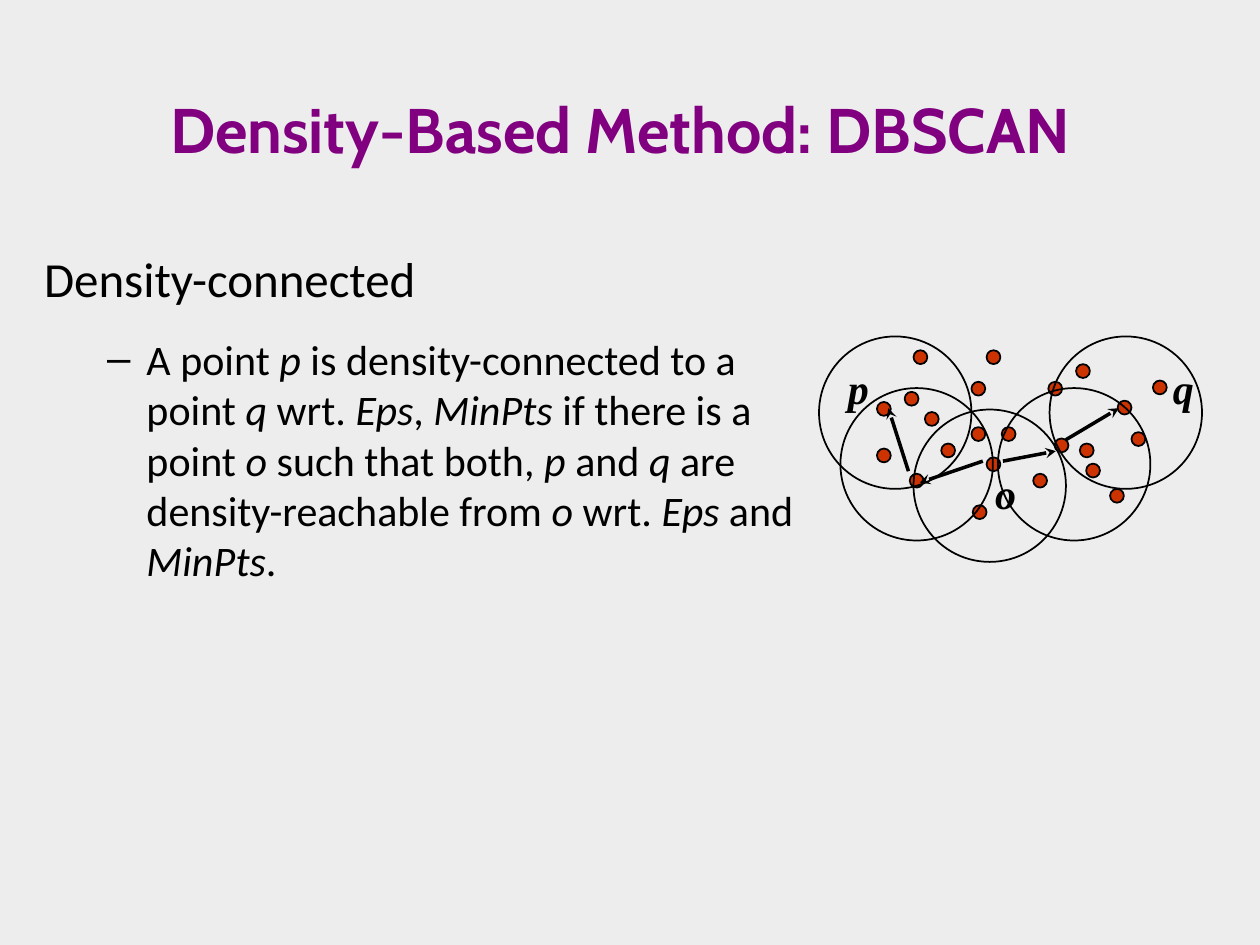
from typing import NamedTuple

from lxml import etree
from pptx import Presentation
from pptx.dml.color import RGBColor
from pptx.enum.shapes import MSO_CONNECTOR, MSO_SHAPE
from pptx.enum.text import MSO_ANCHOR, MSO_AUTO_SIZE, PP_ALIGN
from pptx.oxml.ns import qn
from pptx.util import Inches, Pt

ELLIPSE, STRAIGHT = MSO_SHAPE.OVAL, MSO_CONNECTOR.STRAIGHT
TOP, LEFT = MSO_ANCHOR.TOP, PP_ALIGN.LEFT
NO_FIT, GROW = MSO_AUTO_SIZE.NONE, MSO_AUTO_SIZE.SHAPE_TO_FIT_TEXT

BLACK, PURPLE, RED, BACKGROUND = "000000", "800080", "CC3300", "EDEDED"
POINT_SIZE, NEIGHBOURHOOD_SIZE = 0.11, 1.21


class Spot(NamedTuple):
    left: float
    top: float


class Reach(NamedTuple):
    """A step of density-reachability; the arrowhead is at the target."""
    target: Spot
    source: Spot


class Label(NamedTuple):
    text: str
    spot: Spot


POINTS = [Spot(*spot) for spot in (
    (7.34, 3.27), (7.71, 3.39), (7.71, 3.03), (7.22, 3.76), (7.47, 3.52),
    (7.72, 4.01), (7.83, 3.63), (7.83, 2.78), (8.57, 3.52), (8.32, 3.03),
    (6.96, 3.56), (7.95, 3.39), (8.20, 3.76), (8.81, 3.88), (8.98, 3.43),
    (8.37, 3.48), (8.62, 3.68), (9.15, 3.02), (8.54, 2.89), (8.87, 3.18),
    (7.18, 3.11), (6.96, 3.19), (7.25, 2.78),
)]
NEIGHBOURHOODS = [Spot(*spot) for spot in (
    (6.67, 3.08), (7.25, 3.25), (7.92, 3.08), (8.33, 2.67), (6.50, 2.67),
)]
REACHES = [
    Reach(Spot(7.30, 3.83), Spot(7.80, 3.66)),
    Reach(Spot(8.38, 3.58), Spot(7.96, 3.66)),
    Reach(Spot(7.05, 3.24), Spot(7.21, 3.74)),
    Reach(Spot(8.88, 3.24), Spot(8.46, 3.49)),
]
LABELS = [
    Label("p", Spot(6.63, 2.83)),
    Label("q", Spot(9.21, 2.83)),
    Label("o", Spot(7.80, 3.66)),
]
# Asterisks enclose italic words
DEFINITION = (
    "A point *p* is density-connected to a point *q* wrt. *Eps*, *MinPts* "
    "if there is a point *o *such that both, *p* and *q* are "
    "density-reachable from *o* wrt. *Eps* and *MinPts*."
)


def paint(color_format, color: str) -> None:
    color_format.rgb = RGBColor.from_string(color)


def write(paragraph, text: str, *, size: float, font: str, color: str = BLACK,
          bold: bool = False, italic: bool = False, before: float = 15) -> None:
    """Fill a paragraph; parts between asterisks switch the italics."""
    paragraph.alignment = LEFT
    paragraph.space_before = Pt(before)
    for index, part in enumerate(text.split("*")):
        run = paragraph.add_run()
        run.text = part
        run.font.size, run.font.name = Pt(size), font
        run.font.bold = bold
        run.font.italic = italic != (index % 2 == 1)
        paint(run.font.color, color)


def place(holder, left: float, top: float, width: float, height: float) -> None:
    holder.left, holder.top = Inches(left), Inches(top)
    holder.width, holder.height = Inches(width), Inches(height)
    holder.text_frame.vertical_anchor = TOP
    holder.text_frame.auto_size = NO_FIT


def add_circle(shapes, spot: Spot, size: float, fill: str | None = None) -> None:
    circle = shapes.add_shape(ELLIPSE, Inches(spot.left), Inches(spot.top),
                              Inches(size), Inches(size))
    circle.shadow.inherit = False
    if fill:
        circle.fill.solid()
        paint(circle.fill.fore_color, fill)
    else:
        circle.fill.background()
    circle.line.width = Pt(1)
    paint(circle.line.color, BLACK)


def add_reach(shapes, reach: Reach) -> None:
    ends = [Inches(value) for spot in reach for value in spot]
    arrow = shapes.add_connector(STRAIGHT, *ends)
    arrow.line.width = Pt(2)
    paint(arrow.line.color, BLACK)
    line = arrow.line._get_or_add_ln()
    etree.SubElement(line, qn("a:headEnd"), type="stealth")
    etree.SubElement(line.getparent(), qn("a:effectLst"))


def add_label(shapes, label: Label) -> None:
    box = shapes.add_textbox(Inches(label.spot.left), Inches(label.spot.top),
                             Inches(0.42), Inches(0.5))
    box.text_frame.word_wrap = True
    box.text_frame.auto_size = GROW
    write(box.text_frame.paragraphs[0], label.text, size=24,
          font="Times New Roman", bold=True, italic=True)


prs = Presentation()
prs.slide_width, prs.slide_height = Inches(10), Inches(7.5)
slide = prs.slides.add_slide(prs.slide_layouts[1])
slide.background.fill.solid()
paint(slide.background.fill.fore_color, BACKGROUND)

# Title
title = slide.shapes.title
place(title, 1.25, 0.67, 8.5, 0.7)
write(title.text_frame.paragraphs[0], "Density-Based Method: DBSCAN",
      size=36, font="Cabin", color=PURPLE, bold=True, before=22.5)

# Definition: an unbulleted heading and a dashed item
body = slide.placeholders[1]
place(body, 0.25, 1.92, 6.17, 5.08)
heading = body.text_frame.paragraphs[0]
write(heading, "Density-connected", size=28, font="Calibri", before=17.5)
etree.SubElement(heading._p.get_or_add_pPr(), qn("a:buNone"))
definition = body.text_frame.add_paragraph()
definition.level = 1
write(definition, DEFINITION, size=24, font="Calibri")

# Diagram of points, their neighbourhoods and the reachability steps
diagram = slide.shapes.add_group_shape().shapes
for point in POINTS:
    add_circle(diagram, point, POINT_SIZE, RED)
for neighbourhood in NEIGHBOURHOODS:
    add_circle(diagram, neighbourhood, NEIGHBOURHOOD_SIZE)
for step in REACHES:
    add_reach(diagram, step)
for name in LABELS:
    add_label(diagram, name)

prs.save("out.pptx")
